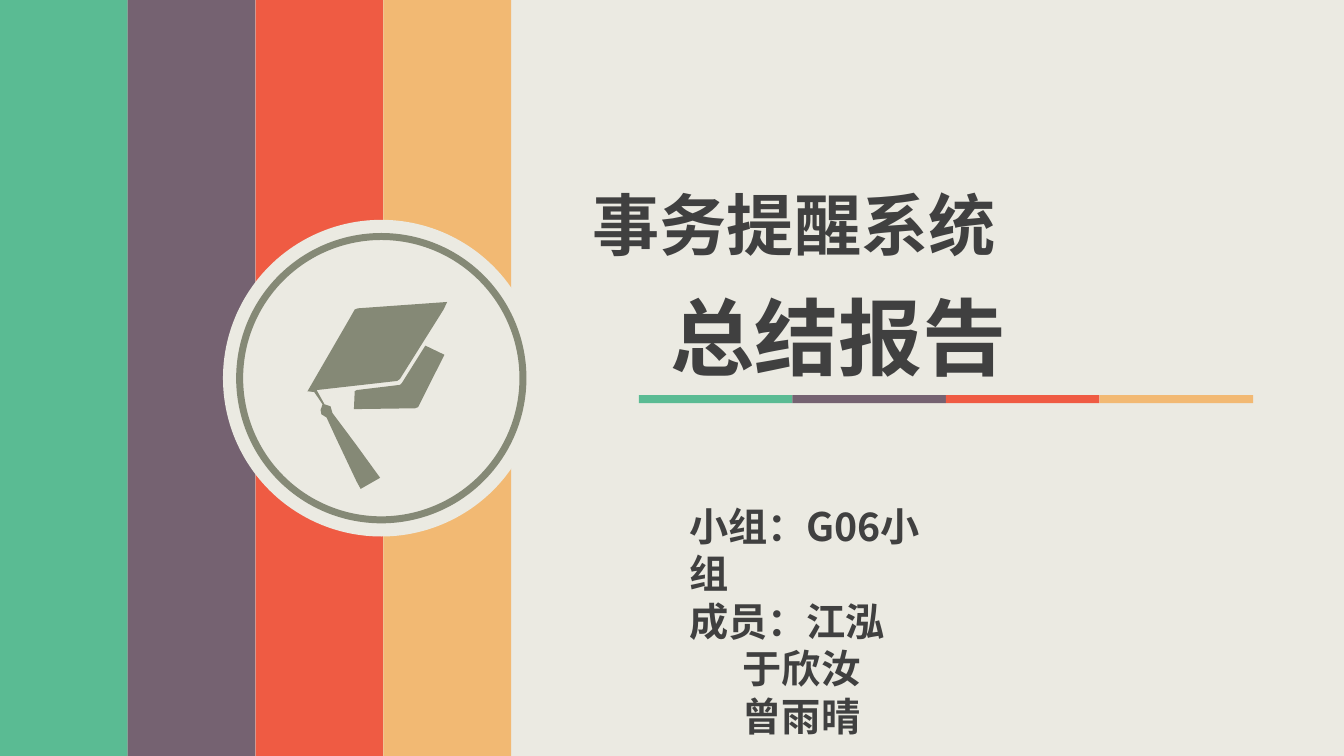
from pptx import Presentation
from pptx.dml.color import RGBColor
from pptx.enum.shapes import MSO_SHAPE
from pptx.enum.text import MSO_ANCHOR, PP_ALIGN
from pptx.oxml.ns import qn
from pptx.util import Cm, Pt

RECT, OVAL = MSO_SHAPE.RECTANGLE, MSO_SHAPE.OVAL
TOP, LEFT = MSO_ANCHOR.TOP, PP_ALIGN.LEFT

STRIPES = ["5ABB93", "756271", "EF5B43", "F2B973"]
PAPER, OLIVE, INK = "EBEAE2", "858976", "404040"
CENTRE_X, CENTRE_Y = 9.61, 9.53

BOARD_AND_TASSEL = [
    (7.98, 9.83), (8.18, 10.19), (8.33, 10.24), (8.38, 10.41), (8.97, 11.2),
    (9.58, 12.04), (9.09, 12.32), (8.99, 12.14), (8.46, 11.02), (8.23, 10.52),
    (8.1, 10.44), (8.08, 10.33), (8.13, 10.19), (7.92, 9.88), (7.75, 9.86),
    (8.81, 8.03), (8.94, 7.8), (9.02, 7.77), (11.27, 7.61), (11.18, 7.8),
    (10.08, 9.55), (10.01, 9.6),
]
CAP_BAND = [
    (8.92, 10.31), (8.94, 9.86), (8.99, 9.83), (10.08, 9.7), (10.13, 9.65),
    (10.72, 8.71), (11.2, 8.94), (10.54, 10.26), (10.46, 10.29),
]


def color(value):
    return RGBColor.from_string(value)


class CoverSlide:
    font = "Noto Sans CJK SC"
    line_height = 1.21

    def __init__(self, prs):
        self.slide = prs.slides.add_slide(prs.slide_layouts[5])
        self.slide.background.fill.solid()
        self.slide.background.fill.fore_color.rgb = color(PAPER)

    def paint(self, shape, fill):
        shape.shadow.inherit = False
        shape.fill.solid()
        shape.fill.fore_color.rgb = color(fill)
        shape.line.fill.background()

    def block(self, x, y, w, h, fill):
        bar = self.slide.shapes.add_shape(RECT, Cm(x), Cm(y), Cm(w), Cm(h))
        self.paint(bar, fill)

    def disc(self, diameter, fill=None, line=None, width=0):
        x, y = CENTRE_X - diameter / 2, CENTRE_Y - diameter / 2
        circle = self.slide.shapes.add_shape(OVAL, Cm(x), Cm(y), Cm(diameter), Cm(diameter))
        if fill:
            self.paint(circle, fill)
        else:
            circle.shadow.inherit = False
            circle.fill.background()
            circle.line.color.rgb = color(line)
            circle.line.width = Pt(width)

    def outline(self, points, fill):
        first, *rest = [(Cm(x), Cm(y)) for x, y in points]
        builder = self.slide.shapes.build_freeform(*first)
        builder.add_line_segments(rest)
        self.paint(builder.convert_to_shape(), fill)

    def title(self, x, y, w, h, text, size):
        heading = self.slide.shapes.title
        heading.left, heading.top, heading.width, heading.height = Cm(x), Cm(y), Cm(w), Cm(h)
        self.fill_text(heading, [(text, 0)], size)

    def text(self, x, y, w, h, lines, size):
        box = self.slide.shapes.add_textbox(Cm(x), Cm(y), Cm(w), Cm(h))
        self.fill_text(box, lines, size)

    def fill_text(self, box, lines, size):
        frame = box.text_frame
        frame.word_wrap = True
        frame.vertical_anchor = TOP
        frame.text = "\n".join(line for line, _ in lines)
        for paragraph, (_, indent) in zip(frame.paragraphs, lines):
            paragraph.alignment = LEFT
            paragraph.line_spacing = Pt(size * self.line_height)
            font = paragraph.font
            font.name, font.size, font.bold = self.font, Pt(size), True
            font.color.rgb = color(INK)
            # East Asian typeface and left indent
            properties = paragraph._p.get_or_add_pPr()
            latin = properties.find(qn("a:defRPr")).find(qn("a:latin"))
            latin.addnext(latin.makeelement(qn("a:ea"), {"typeface": self.font}))
            if indent:
                properties.set("marL", str(Cm(indent)))
                properties.set("indent", "0")


def main():
    prs = Presentation()
    prs.slide_width, prs.slide_height = Cm(33.87), Cm(19.05)
    cover = CoverSlide(prs)

    # Vertical stripes and the rule under the heading
    stripe_width, rule_width = 3.22, 3.87
    for i, fill in enumerate(STRIPES):
        cover.block(i * stripe_width, 0, stripe_width, 19.05, fill)
        cover.block(16.1 + i * rule_width, 9.96, rule_width, 0.2, fill)

    # Graduation cap in a ring
    cover.disc(7.98, fill=PAPER)
    cover.disc(7.14, line=OLIVE, width=5)
    cover.outline(BOARD_AND_TASSEL, OLIVE)
    cover.outline(CAP_BAND, OLIVE)

    # Heading and team
    cover.title(14.68, 4.47, 10.72, 2.31, "事务提醒系统", 48)
    cover.text(16.64, 7.04, 9.02, 2.82, [("总结报告", 0)], 60)
    team = [("小组：G06小组", 0), ("成员：江泓", 0), ("于欣汝", 1.35), ("曾雨晴", 1.35)]
    cover.text(17.12, 12.52, 6.96, 5.03, team, 28)

    prs.save("out.pptx")


if __name__ == "__main__":
    main()
